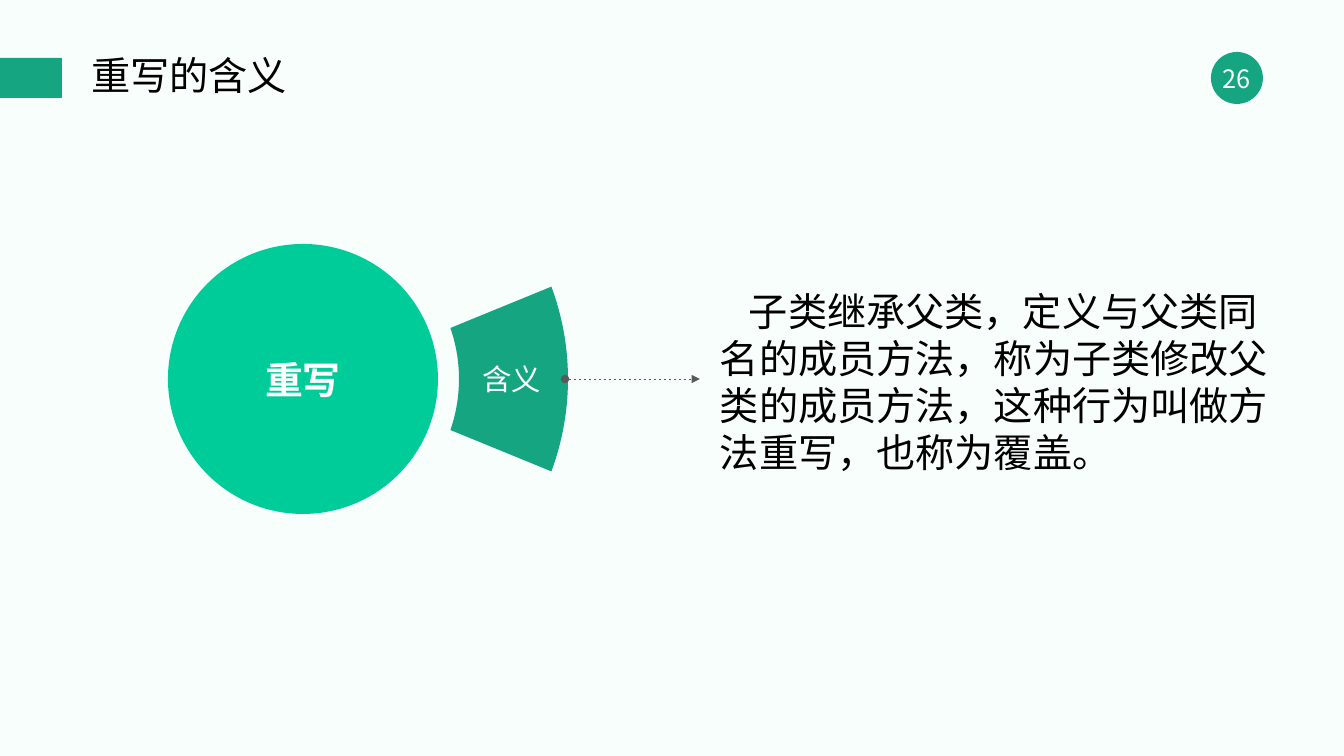
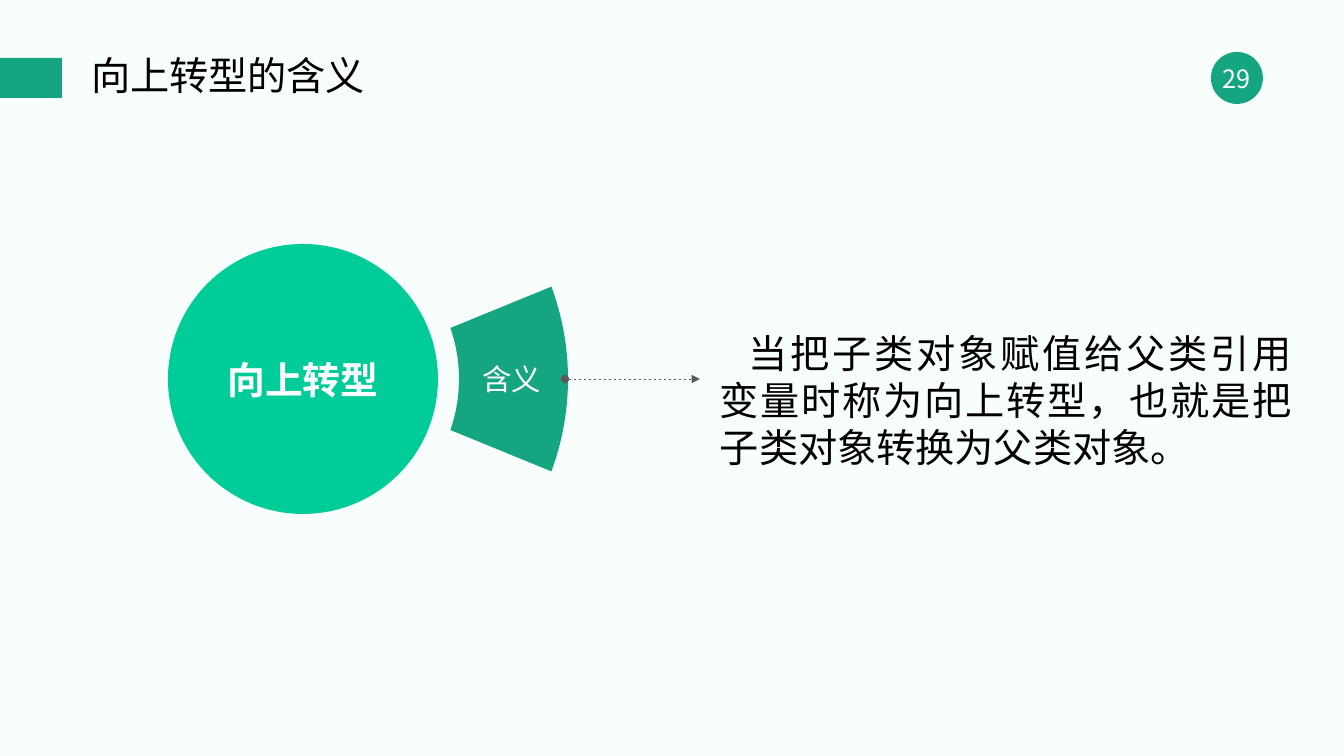
from math import cos, radians, sin

from lxml import etree
from pptx import Presentation
from pptx.dml.color import RGBColor
from pptx.enum.dml import MSO_LINE
from pptx.enum.shapes import MSO_CONNECTOR, MSO_SHAPE
from pptx.enum.text import MSO_ANCHOR, MSO_AUTO_SIZE, PP_ALIGN
from pptx.oxml.ns import qn
from pptx.util import Emu, Pt

RECTANGLE, OVAL = MSO_SHAPE.RECTANGLE, MSO_SHAPE.OVAL
STRAIGHT, DASH = MSO_CONNECTOR.STRAIGHT, MSO_LINE.DASH
LEFT, CENTER, JUSTIFY = PP_ALIGN.LEFT, PP_ALIGN.CENTER, PP_ALIGN.JUSTIFY
TOP, MIDDLE = MSO_ANCHOR.TOP, MSO_ANCHOR.MIDDLE
FIXED = MSO_AUTO_SIZE.NONE

PX_PER_INCH = 100.8
TITLE_ONLY = 5
FONT = "Noto Sans CJK SC"
BACKGROUND, GREEN, MINT = "F8FEFC", "15A681", "00CC99"
GRAY, WHITE, BLACK = "595959", "FFFFFF", "000000"
HUB_X, HUB_Y, HUB_RADIUS = 303, 379, 135

PAGES = [
    {
        "number": "26",
        "title": "重写的含义",
        "topic": "重写",
        "meaning": "子类继承父类，定义与父类同名的成员方法，称为子类修改父类的成员方法，这种行为叫做方法重写，也称为覆盖。",
        "area": (710, 282, 592, 201),
        "align": LEFT,
        "font": "Times New Roman",
    },
    {
        "number": "29",
        "title": "向上转型的含义",
        "topic": "向上转型",
        "meaning": "当把子类对象赋值给父类引用变量时称为向上转型，也就是把子类对象转换为父类对象。",
        "area": (710, 324, 592, 152),
        "align": JUSTIFY,
        "font": "Calibri",
    },
]


def px(length):
    """Turn a length in px into EMU."""
    return Emu(round(length * 914400 / PX_PER_INCH))


def color(value):
    """Turn a hex string into a colour."""
    return RGBColor.from_string(value)


def set_values(target, values):
    """Set each attribute named in a dict."""
    for name, value in values.items():
        setattr(target, name, value)


def paint(shape, fill):
    """Give a shape a flat fill with no outline or shadow."""
    shape.shadow.inherit = False
    shape.fill.solid()
    shape.fill.fore_color.rgb = color(fill)
    shape.line.fill.background()


def write(shape, text, size, ink=WHITE, bold=False, font=FONT, frame=None, para=None):
    """Write one formatted paragraph into a shape and return it."""
    box = shape.text_frame
    set_values(box, {"word_wrap": False, "auto_size": FIXED, "vertical_anchor": MIDDLE})
    set_values(box, frame or {})
    paragraph = box.paragraphs[0]
    set_values(paragraph, {"alignment": CENTER, **(para or {})})
    span = paragraph.add_run()
    span.text = text
    set_values(span.font, {"size": Pt(size), "bold": bold, "name": font})
    span.font.color.rgb = color(ink)
    etree.SubElement(span.font._element, qn("a:ea"), typeface=FONT)
    return paragraph


def add_block(page, kind, area, fill):
    """Add a flat preset shape."""
    shape = page.shapes.add_shape(kind, *map(px, area))
    paint(shape, fill)
    return shape


def add_header(page, title, number):
    """Add the green tab, the title and the page number."""
    add_block(page, RECTANGLE, (0, 58, 62, 40), GREEN)
    heading = page.shapes.title
    place = zip(("left", "top", "width", "height"), map(px, (81, 52, 751, 51)))
    set_values(heading, dict(place))
    write(heading, title, 28, BLACK, frame={"word_wrap": True},
          para={"alignment": LEFT, "line_spacing": 0.9, "space_before": Pt(0)})
    write(add_block(page, OVAL, (1211, 52, 52, 52), GREEN), number, 18)


def arc_points(radius, spread):
    """List points on an arc around the hub, from top to bottom."""
    angles = [radians(spread * step / 20) for step in range(-20, 21)]
    return [(px(HUB_X + radius * cos(angle)), px(HUB_Y + radius * sin(angle)))
            for angle in angles]


def add_sector(page, label):
    """Add the labelled ring sector beside the hub."""
    outline = arc_points(265, 20.4) + arc_points(156, 19.1)[::-1]
    builder = page.shapes.build_freeform(*outline[0], scale=1.0)
    builder.add_line_segments(outline[1:], close=True)
    sector = builder.convert_to_shape()
    paint(sector, GREEN)
    write(sector, label, 21, frame={"margin_left": px(5), "margin_right": 0})


def add_arrow(page, start, end, y):
    """Add a dashed level arrow with a round tail."""
    arrow = page.shapes.add_connector(STRAIGHT, px(start), px(y), px(end), px(y))
    set_values(arrow.line, {"width": Pt(0.5), "dash_style": DASH})
    arrow.line.color.rgb = color(GRAY)
    properties = arrow._element.spPr
    line = properties.find(qn("a:ln"))
    for tag, kind in (("a:headEnd", "oval"), ("a:tailEnd", "triangle")):
        etree.SubElement(line, qn(tag), type=kind)
    etree.SubElement(properties, qn("a:effectLst"))


def add_meaning(page, text, area, align, font):
    """Add the explanation with an indented first line."""
    box = page.shapes.add_textbox(*map(px, area))
    para = write(box, text, 28, BLACK, font=font,
                 frame={"word_wrap": True, "vertical_anchor": TOP},
                 para={"alignment": align, "line_spacing": Pt(33.6)})
    para._p.get_or_add_pPr().set("indent", str(px(29)))


def add_page(deck, content):
    """Add one definition slide."""
    page = deck.slides.add_slide(deck.slide_layouts[TITLE_ONLY])
    add_header(page, content["title"], content["number"])
    add_sector(page, "含义")
    size = 2 * HUB_RADIUS
    hub = add_block(page, OVAL, (HUB_X - HUB_RADIUS, HUB_Y - HUB_RADIUS, size, size), MINT)
    write(hub, content["topic"], 27, bold=True)
    add_arrow(page, 565, 700, HUB_Y)
    add_meaning(page, content["meaning"], content["area"], content["align"], content["font"])


def main():
    """Build and save the deck."""
    deck = Presentation()
    set_values(deck, {"slide_width": px(1344), "slide_height": px(756)})
    backdrop = deck.slide_master.background.fill
    backdrop.solid()
    backdrop.fore_color.rgb = color(BACKGROUND)
    for content in PAGES:
        add_page(deck, content)
    deck.save("out.pptx")


if __name__ == "__main__":
    main()
